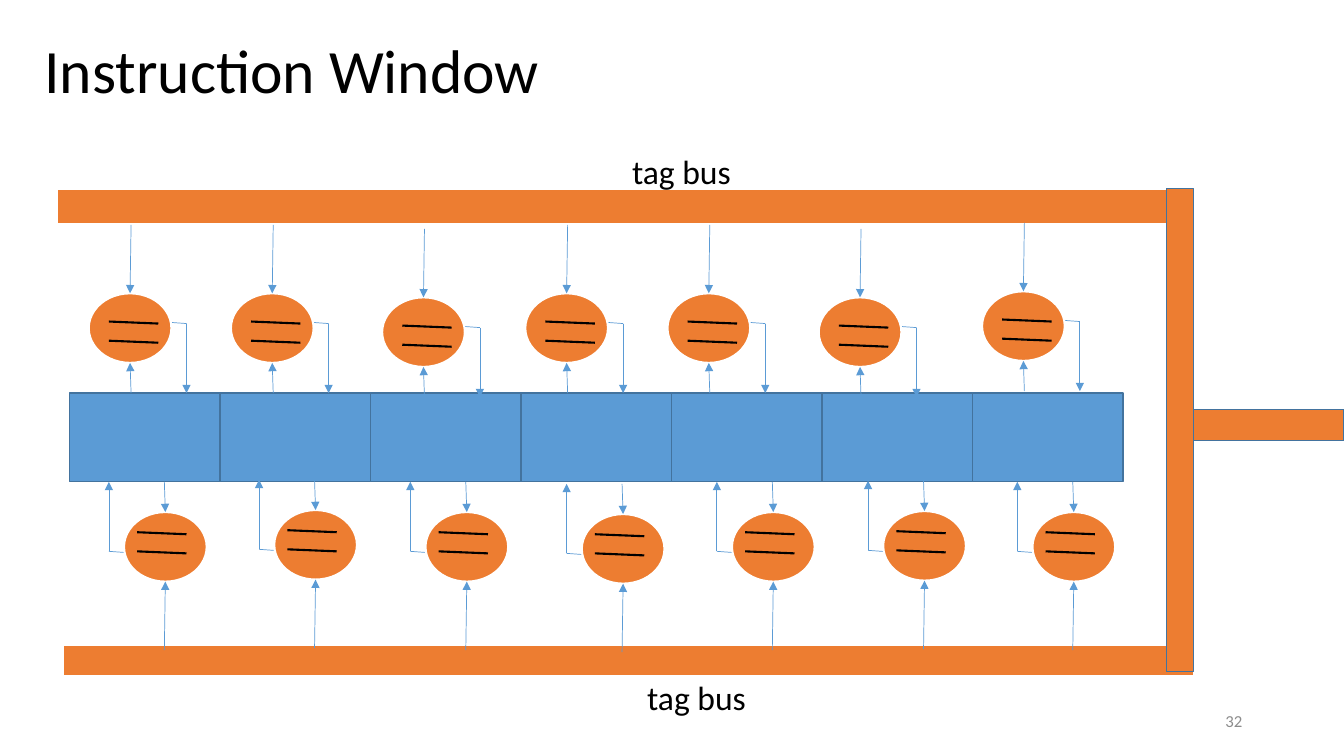
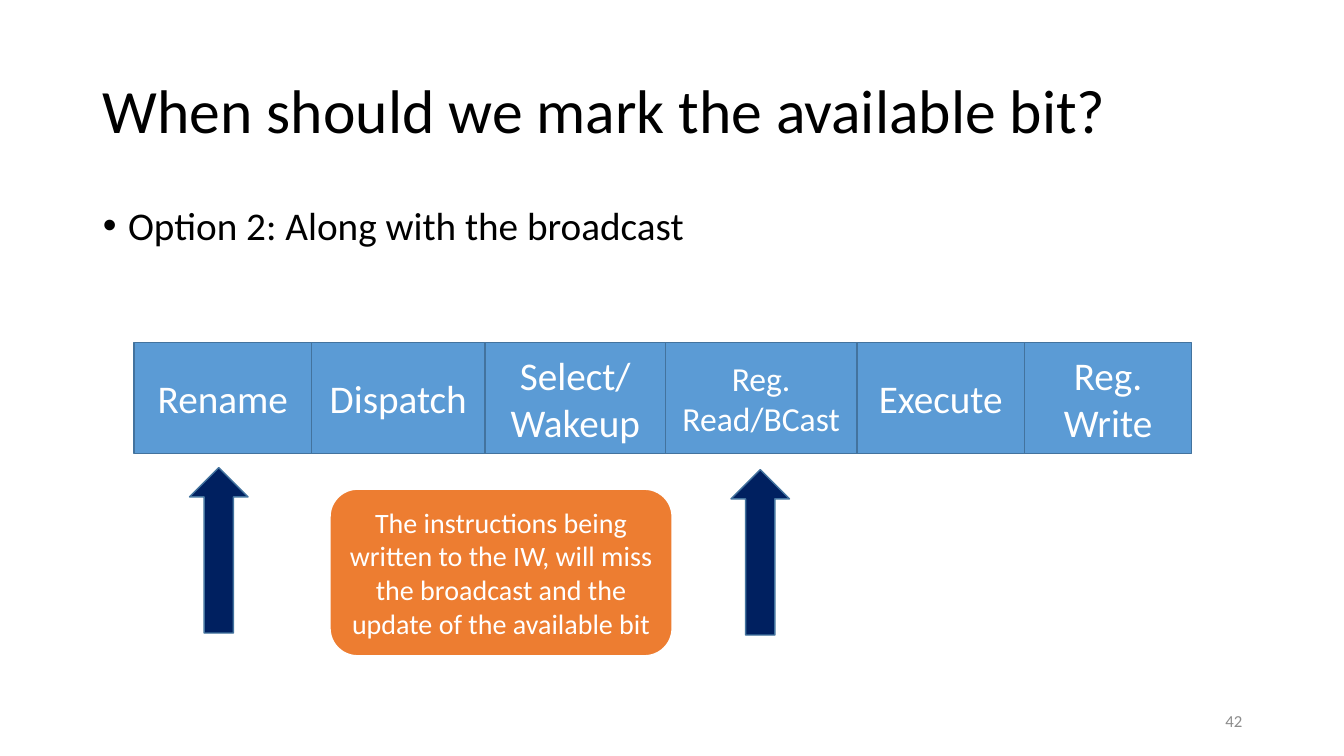
import itertools
from dataclasses import dataclass
from typing import Any

import lxml.etree
import pptx
import pptx.dml.color
import pptx.enum.shapes
import pptx.enum.text
import pptx.oxml.ns
import pptx.util

Inches = pptx.util.Inches
Pt = pptx.util.Pt
RGBColor = pptx.dml.color.RGBColor
MSO_SHAPE = pptx.enum.shapes.MSO_SHAPE
MSO_ANCHOR = pptx.enum.text.MSO_ANCHOR
PP_ALIGN = pptx.enum.text.PP_ALIGN
qn = pptx.oxml.ns.qn

FONT = "Calibri"
BLACK = RGBColor(0x00, 0x00, 0x00)
WHITE = RGBColor(0xFF, 0xFF, 0xFF)
GREY = RGBColor(0x8C, 0x8C, 0x8C)
BLUE = RGBColor(0x5B, 0x9B, 0xD5)
EDGE = RGBColor(0x43, 0x73, 0x9E)
ORANGE = RGBColor(0xED, 0x7D, 0x31)
NAVY = RGBColor(0x00, 0x20, 0x60)

TITLE_ONLY, TITLE_AND_CONTENT = 5, 1
OVAL_W, OVAL_H = 0.82, 0.69


@dataclass(frozen=True)
class Box:
    x: float
    y: float
    w: float
    h: float


@dataclass(frozen=True)
class Look:
    fill: RGBColor
    line: RGBColor
    width: float


@dataclass(frozen=True)
class Wire:
    x1: float
    y1: float
    x2: float
    y2: float
    color: RGBColor = BLUE
    width: float = 0.5
    arrow: bool = False


@dataclass(frozen=True)
class Comparator:
    x: float
    y: float
    flipped: bool = False


@dataclass(frozen=True)
class Stage:
    name: str
    width: float
    size: float = 28


BLOCK = Look(BLUE, EDGE, 1)
BUS = Look(ORANGE, WHITE, 1.5)
TRUNK = Look(ORANGE, EDGE, 1)
MARKER = Look(NAVY, EDGE, 1)

HOOK = Wire(0.97, 0.30, 0.69, 0.28)
COMPARATOR_WIRES = (
    Wire(0.20, 0.28, 0.69, 0.30, BLACK, 1.5),
    Wire(0.20, 0.47, 0.69, 0.49, BLACK, 1.5),
    Wire(0.42, 0.99, 0.41, 0.69, arrow=True),
    Wire(0.42, -0.68, 0.41, 0, arrow=True),
    Wire(0.97, 0.30, 0.97, 0.99, arrow=True),
)
UPPER = [
    Comparator(x, y)
    for x, y in (
        (0.88, 2.91), (2.29, 2.91), (3.79, 2.95), (5.21, 2.91),
        (6.62, 2.91), (8.12, 2.95), (9.74, 2.89),
    )
]
LOWER = [
    Comparator(x, y, True)
    for x, y in (
        (1.23, 5.08), (2.72, 5.06), (4.22, 5.08), (5.77, 5.10),
        (7.26, 5.08), (8.76, 5.07), (10.24, 5.08),
    )
]
STAGES = (
    Stage("Rename", 1.76),
    Stage("Dispatch", 1.72),
    Stage("Select/ Wakeup", 1.79),
    Stage("Reg. Read/BCast", 1.9, 24),
    Stage("Execute", 1.66),
    Stage("Reg. Write", 1.66),
)


def place(sp: Any, box: Box) -> None:
    sp.left, sp.top = Inches(box.x), Inches(box.y)
    sp.width, sp.height = Inches(box.w), Inches(box.h)


def add_run(p: Any, text: str, size: float, color: RGBColor) -> None:
    r = p.add_run()
    r.text = text
    r.font.name = FONT
    r.font.size = Pt(size)
    r.font.color.rgb = color


def add_block(shapes: Any, kind: Any, box: Box, look: Look, text: str = "", size: float = 28) -> None:
    sp = shapes.add_shape(kind, Inches(box.x), Inches(box.y), Inches(box.w), Inches(box.h))
    sp.shadow.inherit = False
    sp.fill.solid()
    sp.fill.fore_color.rgb = look.fill
    sp.line.color.rgb = look.line
    sp.line.width = Pt(look.width)
    if text:
        tf = sp.text_frame
        tf.word_wrap = True
        tf.vertical_anchor = MSO_ANCHOR.MIDDLE
        p = tf.paragraphs[0]
        p.alignment = PP_ALIGN.CENTER
        add_run(p, text, size, WHITE)


def add_label(shapes: Any, box: Box, text: str, size: float, color: RGBColor,
              align: Any = PP_ALIGN.LEFT, anchor: Any = MSO_ANCHOR.TOP, wrap: bool = False) -> None:
    sp = shapes.add_textbox(Inches(box.x), Inches(box.y), Inches(box.w), Inches(box.h))
    tf = sp.text_frame
    tf.word_wrap = wrap
    tf.vertical_anchor = anchor
    p = tf.paragraphs[0]
    p.alignment = align
    add_run(p, text, size, color)


def add_wire(shapes: Any, wire: Wire, unit: Comparator) -> None:
    def point(dx: float, dy: float) -> tuple[int, int]:
        if unit.flipped:
            dx, dy = OVAL_W - dx, OVAL_H - dy
        return Inches(unit.x + dx), Inches(unit.y + dy)

    c = shapes.add_connector(
        pptx.enum.shapes.MSO_CONNECTOR.STRAIGHT, *point(wire.x1, wire.y1), *point(wire.x2, wire.y2)
    )
    c.line.color.rgb = wire.color
    c.line.width = Pt(wire.width)
    spPr = c._element.spPr
    if wire.arrow:
        lxml.etree.SubElement(spPr.find(qn("a:ln")), qn("a:tailEnd"), type="triangle")
    lxml.etree.SubElement(spPr, qn("a:effectLst"))


def add_comparator(s: Any, unit: Comparator) -> None:
    shapes = s.shapes.add_group_shape().shapes
    add_wire(shapes, HOOK, unit)
    add_block(shapes, MSO_SHAPE.OVAL, Box(unit.x, unit.y, OVAL_W, OVAL_H), BUS)
    for wire in COMPARATOR_WIRES:
        add_wire(shapes, wire, unit)


def add_slide(prs: Any, layout: int, title: str, title_box: Box, number: str) -> Any:
    s = prs.slides.add_slide(prs.slide_layouts[layout])
    sp = s.shapes.title
    place(sp, title_box)
    tf = sp.text_frame
    tf.word_wrap = True
    tf.auto_size = pptx.enum.text.MSO_AUTO_SIZE.NONE
    tf.vertical_anchor = MSO_ANCHOR.MIDDLE
    p = tf.paragraphs[0]
    p.alignment = PP_ALIGN.LEFT
    p.line_spacing = 0.9
    add_run(p, title, 44, BLACK)
    add_label(s.shapes, Box(9.42, 6.95, 3, 0.4), number, 12, GREY,
              PP_ALIGN.RIGHT, MSO_ANCHOR.MIDDLE, True)
    return s


def add_bullet(sp: Any, text: str) -> None:
    tf = sp.text_frame
    tf.word_wrap = True
    tf.auto_size = pptx.enum.text.MSO_AUTO_SIZE.NONE
    p = tf.paragraphs[0]
    p.line_spacing = 0.9
    p.space_before = Pt(0)
    pPr = p._p.get_or_add_pPr()
    pPr.set("marL", str(Inches(0.25)))
    pPr.set("indent", str(Inches(-0.25)))
    lxml.etree.SubElement(pPr, qn("a:buFont"), typeface="Arial")
    lxml.etree.SubElement(pPr, qn("a:buChar"), char="•")
    add_run(p, text, 28, BLACK)


def build_window(prs: Any) -> None:
    s = add_slide(prs, TITLE_ONLY, "Instruction Window", Box(0.34, 0, 11.5, 1.45), "32")
    cell_w = 10.45 / len(UPPER)
    for i in range(len(UPPER)):
        add_block(s.shapes, MSO_SHAPE.RECTANGLE, Box(0.69 + i * cell_w, 3.9, cell_w, 0.88), BLOCK)
    for bus, units in (
        (Box(0.57, 1.87, 11.27, 0.35), UPPER),
        (Box(0.62, 6.4, 11.22, 0.31), LOWER),
    ):
        add_block(s.shapes, MSO_SHAPE.RECTANGLE, bus, BUS)
        for unit in units:
            add_comparator(s, unit)
    for x, y in ((6.17, 1.45), (6.32, 6.67)):
        add_label(s.shapes, Box(x, y, 1.19, 0.5), "tag bus", 24, BLACK)
    for trunk in (Box(11.57, 1.87, 0.27, 4.79), Box(11.84, 4.06, 1.49, 0.31)):
        add_block(s.shapes, MSO_SHAPE.RECTANGLE, trunk, TRUNK)


def build_pipeline(prs: Any) -> None:
    s = add_slide(prs, TITLE_AND_CONTENT, "When should we mark the available bit?",
                  Box(0.92, 0.4, 11.5, 1.45), "42")
    body = s.placeholders[1]
    place(body, Box(0.92, 2, 11.5, 4.76))
    add_bullet(body, "Option 2: Along with the broadcast")
    lefts = itertools.accumulate((stage.width for stage in STAGES), initial=1.33)
    for x, stage in zip(lefts, STAGES):
        add_block(s.shapes, MSO_SHAPE.RECTANGLE, Box(x, 3.4, stage.width, 1.1), BLOCK,
                  stage.name, stage.size)
    for x, y in ((1.88, 4.64), (7.25, 4.66)):
        add_block(s.shapes, MSO_SHAPE.UP_ARROW, Box(x, y, 0.58, 1.64), MARKER)
    add_block(s.shapes, MSO_SHAPE.ROUNDED_RECTANGLE, Box(3.27, 4.85, 3.4, 1.66), BUS,
              "The instructions being written to the IW, will miss the broadcast "
              "and the update of the available bit", 20)


def main() -> None:
    prs = pptx.Presentation()
    prs.slide_width, prs.slide_height = Inches(13.33), Inches(7.5)
    build_window(prs)
    build_pipeline(prs)
    prs.save("out.pptx")


if __name__ == "__main__":
    main()
